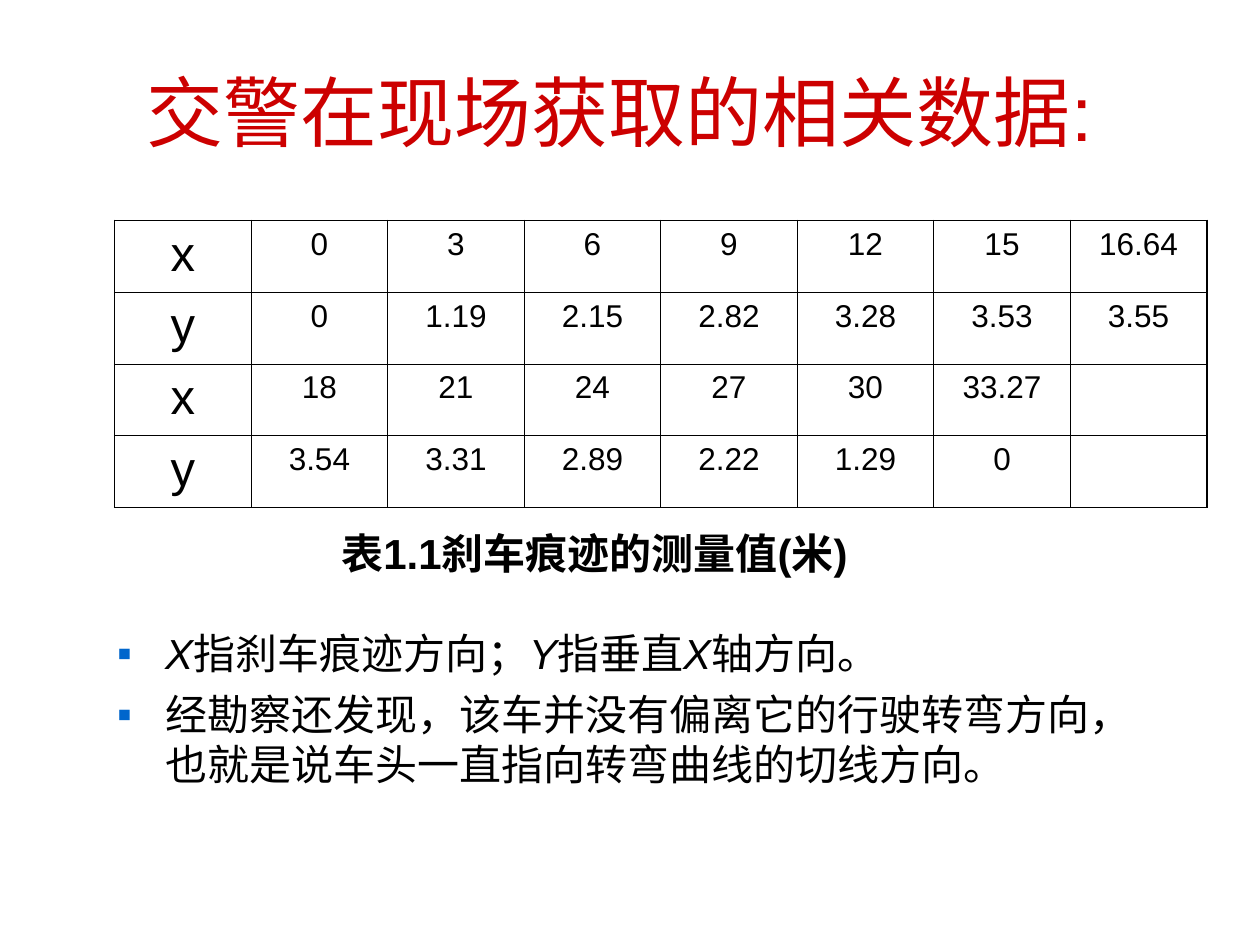
import pptx
import pptx.dml.color
import pptx.enum.text
import pptx.oxml
import pptx.oxml.ns
import pptx.util
from pptx.util import Inches

RED = pptx.dml.color.RGBColor(0xCC, 0x00, 0x00)
BLUE = pptx.dml.color.RGBColor(0x00, 0x66, 0xCC)
BLACK = pptx.dml.color.RGBColor(0x00, 0x00, 0x00)
CENTER = pptx.enum.text.PP_ALIGN.CENTER
MIDDLE = pptx.enum.text.MSO_ANCHOR.MIDDLE
FIXED = pptx.enum.text.MSO_AUTO_SIZE.NONE
GROW = pptx.enum.text.MSO_AUTO_SIZE.SHAPE_TO_FIT_TEXT
SPACE = pptx.oxml.ns.nsdecls("a")

# Table rows: label first, then the measured values
ROWS = [
    ["x", "0", "3", "6", "9", "12", "15", "16.64"],
    ["y", "0", "1.19", "2.15", "2.82", "3.28", "3.53", "3.55"],
    ["x", "18", "21", "24", "27", "30", "33.27", ""],
    ["y", "3.54", "3.31", "2.89", "2.22", "1.29", "0", ""],
]

# List items as runs of text and italic flag
ITEMS = [
    [("X", True), ("指刹车痕迹方向；", False), ("Y", True),
     ("指垂直", False), ("X", True), ("轴方向。", False)],
    [("经勘察还发现，该车并没有偏离它的行驶转弯方向，"
      "也就是说车头一直指向转弯曲线的切线方向。", False)],
]


class Page:
    def __init__(self, deck, face="Arial"):
        self.face = face
        self.slide = deck.slides.add_slide(deck.slide_layouts[1])

    def place(self, shape, left, top, width, height):
        shape.left, shape.top = Inches(left), Inches(top)
        shape.width, shape.height = Inches(width), Inches(height)

    def style(self, run, size, color=BLACK, bold=False, italic=False):
        font = run.font
        font.name, font.size = self.face, pptx.util.Pt(size)
        font.bold, font.italic = bold, italic
        font.color.rgb = color

    def title(self, text, *box):
        shape = self.slide.shapes.title
        self.place(shape, *box)
        frame = shape.text_frame
        frame.text = text
        frame.auto_size = FIXED
        frame.vertical_anchor = MIDDLE
        para = frame.paragraphs[0]
        para.alignment = CENTER
        self.style(para.runs[0], 44, RED)

    def bullet(self, para):
        props = para._p.get_or_add_pPr()
        props.set("marL", str(Inches(0.38)))
        props.set("indent", str(-Inches(0.38)))
        for xml in (
            f'<a:buClr {SPACE}><a:srgbClr val="{BLUE}"/></a:buClr>',
            f'<a:buFont {SPACE} typeface="{self.face}"/>',
            f'<a:buChar {SPACE} char="▪"/>',
        ):
            props.append(pptx.oxml.parse_xml(xml))

    def body(self, items, *box):
        shape = self.slide.placeholders[1]
        self.place(shape, *box)
        frame = shape.text_frame
        frame.auto_size = FIXED
        for row, item in enumerate(items):
            para = frame.add_paragraph() if row else frame.paragraphs[0]
            self.bullet(para)
            para.space_before = pptx.util.Pt(6 if row else 0)
            for text, italic in item:
                run = para.add_run()
                run.text = text
                self.style(run, 24, italic=italic)

    def border(self, cell, widths):
        props = cell._tc.get_or_add_tcPr()
        for spot, (side, width) in enumerate(widths.items()):
            props.insert(spot, pptx.oxml.parse_xml(
                f'<a:ln{side} {SPACE} w="{pptx.util.Pt(width)}"><a:solidFill>'
                f'<a:srgbClr val="{BLACK}"/></a:solidFill></a:ln{side}>'))

    def table(self, rows, *box):
        high, wide = len(rows), len(rows[0])
        grid = self.slide.shapes.add_table(
            high, wide, *(Inches(side) for side in box)).table
        grid.first_row = grid.horz_banding = False
        for r, row in enumerate(rows):
            for c, text in enumerate(row):
                cell = grid.cell(r, c)
                cell.fill.background()
                # Outer edges are heavier than inner ones
                edges = {"L": c == 0, "R": c == wide - 1,
                         "T": r == 0, "B": r == high - 1}
                self.border(cell, {side: 1.08 if outer else 0.45
                                   for side, outer in edges.items()})
                cell.text_frame.text = text
                para = cell.text_frame.paragraphs[0]
                para.alignment = CENTER
                for run in para.runs:
                    self.style(run, 18 if c else 28)

    def label(self, text, *box):
        shape = self.slide.shapes.add_textbox(*(Inches(side) for side in box))
        frame = shape.text_frame
        frame.text = text
        frame.word_wrap = False
        frame.auto_size = GROW
        self.style(frame.paragraphs[0].runs[0], 24, bold=True)


def main():
    deck = pptx.Presentation()
    deck.slide_width, deck.slide_height = Inches(10), Inches(7.5)
    page = Page(deck)

    # Heading and notes on the axes
    page.title("交警在现场获取的相关数据: ", 0.33, 0.25, 9.34, 1.25)
    page.body(ITEMS, 0.83, 4.93, 8.43, 1.92)

    # Measurements with caption
    page.table(ROWS, 0.91, 1.75, 8.67, 2.28)
    page.label("表1.1刹车痕迹的测量值(米)", 2.61, 4.14, 4.62, 0.5)

    deck.save("out.pptx")


if __name__ == "__main__":
    main()
